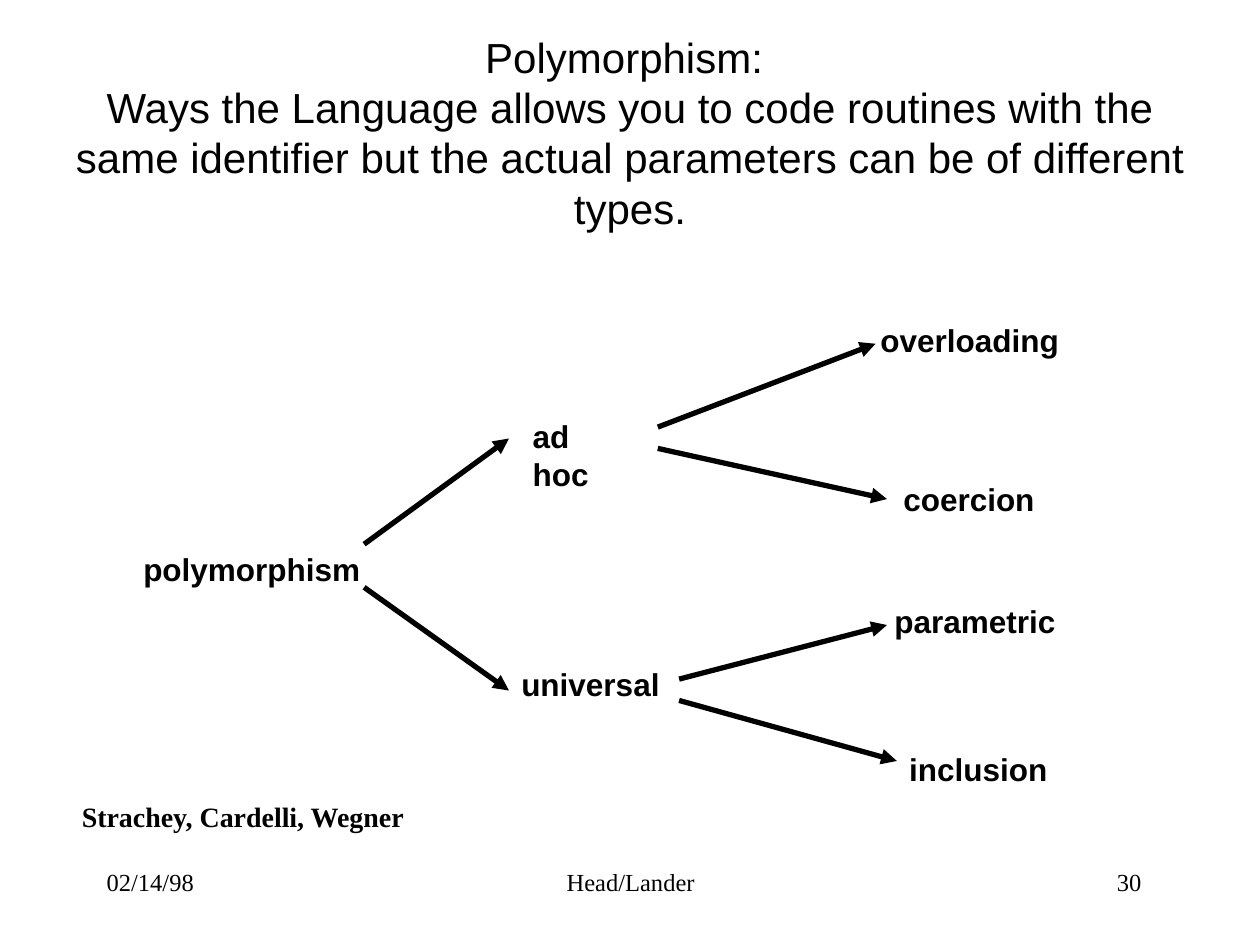
from dataclasses import dataclass

from lxml import etree
from pptx import Presentation
from pptx.dml.color import RGBColor
from pptx.enum import shapes, text
from pptx.oxml import ns
from pptx.util import Cm, Pt

COLORS = {"ink": "000000", "paper": "FFFFFF"}
SANS, SERIF = "Arial", "Times New Roman"
LEFT, CENTER, RIGHT = text.PP_ALIGN.LEFT, text.PP_ALIGN.CENTER, text.PP_ALIGN.RIGHT


@dataclass(frozen=True)
class Label:
    """A line of text; its box is given in centimetres."""
    wording: str
    left: float
    top: float
    width: float
    height: float = 1.02
    size: int = 18
    font: str = SANS
    bold: bool = True
    align: text.PP_ALIGN = LEFT
    wrap: bool = False
    anchor: text.MSO_ANCHOR = text.MSO_ANCHOR.TOP


@dataclass(frozen=True)
class Arrow:
    """A branch of the tree; its ends are given in centimetres."""
    start: tuple[float, float]
    end: tuple[float, float]


def footer(wording: str, left: float, width: float, align: text.PP_ALIGN) -> Label:
    return Label(wording, left, 17.35, width, 1.27, 14, SERIF, False, align, True)


TITLE = Label(
    "Polymorphism: \nWays the Language allows you to code routines with the same "
    "identifier but the actual parameters can be of different types.",
    1.27, 1.07, 22.86, 3.18, 24, bold=False, align=CENTER, wrap=True,
    anchor=text.MSO_ANCHOR.MIDDLE,
)
FOOTERS = [
    footer("02/14/98", 1.9, 5.28, LEFT),
    footer("30", 17.98, 5.28, RIGHT),
    footer("Head/Lander", 8.69, 8.05, CENTER),
]
TERMS = [
    Label("polymorphism", 2.64, 10.97, 4.88),
    Label("universal", 10.26, 13.28, 3.3),
    Label("ad hoc", 10.49, 8.28, 2.54),
    Label("parametric", 17.78, 12.01, 3.76),
    Label("inclusion", 18.08, 14.99, 3.3),
    Label("overloading", 17.5, 6.35, 4.11),
    Label("coercion", 17.96, 9.55, 3.15),
]
BRANCHES = [
    Arrow((7.34, 10.97), (10.26, 8.84)),
    Arrow((7.34, 11.84), (10.26, 13.92)),
    Arrow((13.69, 13.69), (17.88, 12.6)),
    Arrow((13.69, 14.12), (18.08, 15.34)),
    Arrow((13.26, 8.61), (17.65, 6.93)),
    Arrow((13.26, 9.04), (17.88, 10.06)),
]
CREDIT = Label("Strachey, Cardelli, Wegner", 1.4, 16, 7.06, 0.94, 16, SERIF)


def color(name: str) -> RGBColor:
    return RGBColor.from_string(COLORS[name])


def draw_label(slide, label: Label) -> None:
    box = slide.shapes.add_textbox(
        Cm(label.left), Cm(label.top), Cm(label.width), Cm(label.height))
    frame = box.text_frame
    frame.word_wrap = label.wrap
    frame.vertical_anchor = label.anchor
    if not label.wrap:
        frame.auto_size = text.MSO_AUTO_SIZE.SHAPE_TO_FIT_TEXT
    paragraph = frame.paragraphs[0]
    paragraph.text = label.wording
    paragraph.alignment = label.align
    paragraph.font.name = label.font
    paragraph.font.size = Pt(label.size)
    paragraph.font.bold = label.bold
    paragraph.font.color.rgb = color("ink")


def draw_arrow(slide, arrow: Arrow) -> None:
    connector = slide.shapes.add_connector(
        shapes.MSO_CONNECTOR.STRAIGHT, *map(Cm, arrow.start + arrow.end))
    connector.line.color.rgb = color("ink")
    connector.line.width = Pt(3)
    properties = connector._element.spPr
    etree.SubElement(properties.find(ns.qn("a:ln")), ns.qn("a:tailEnd"), type="triangle")
    etree.SubElement(properties, ns.qn("a:effectLst"))


def main() -> None:
    deck = Presentation()
    deck.slide_width, deck.slide_height = Cm(25.4), Cm(19.05)
    slide = deck.slides.add_slide(deck.slide_layouts[6])
    slide.background.fill.solid()
    slide.background.fill.fore_color.rgb = color("paper")
    for label in [*FOOTERS, TITLE, *TERMS]:
        draw_label(slide, label)
    for branch in BRANCHES:
        draw_arrow(slide, branch)
    draw_label(slide, CREDIT)
    deck.save("out.pptx")


if __name__ == "__main__":
    main()
